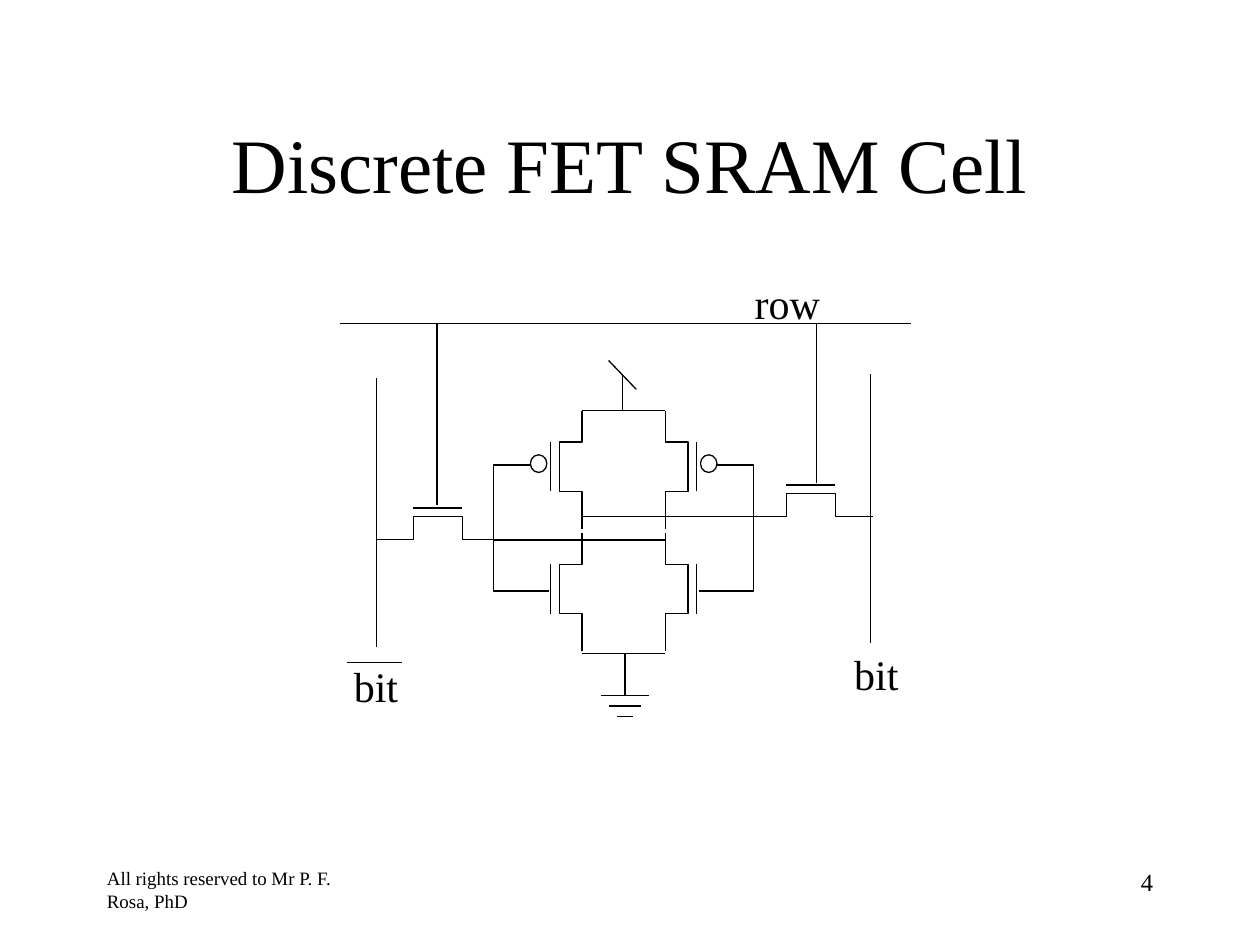
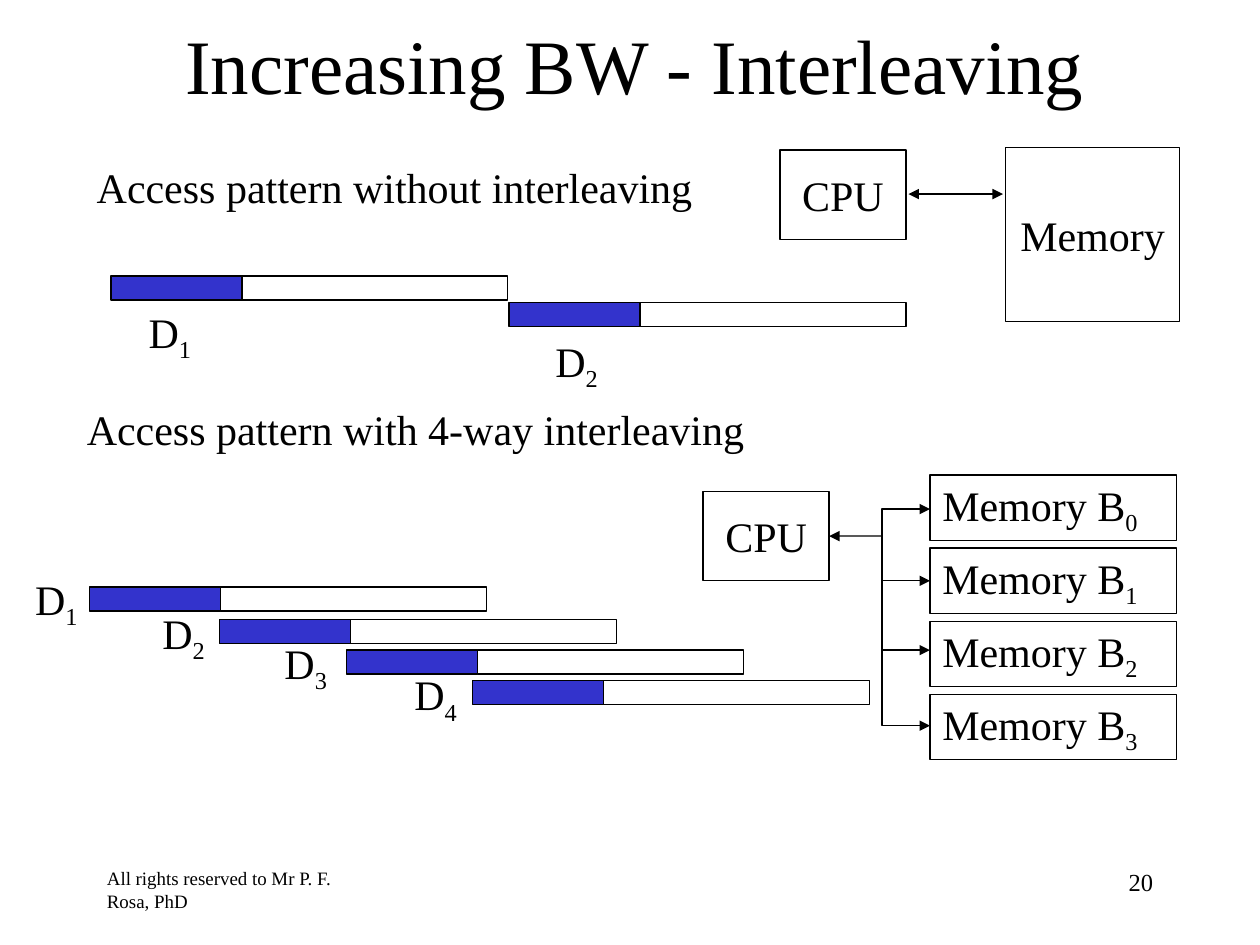
import pptx
import pptx.dml.color
import pptx.enum.shapes
import pptx.enum.text
import pptx.oxml.ns
import pptx.util
from lxml import etree

Pt = pptx.util.Pt
SHAPE = pptx.enum.shapes.MSO_SHAPE
ALIGN = pptx.enum.text.PP_ALIGN
ANCHOR = pptx.enum.text.MSO_ANCHOR
qn = pptx.oxml.ns.qn

FONT = "Times New Roman"
BLACK = "000000"
BLUE = "3333CC"
LINE_WIDTH = 0.75


def rgb(value):
    return pptx.dml.color.RGBColor.from_string(value)


def write(sp, text, sub="", size=24, align=ALIGN.LEFT, anchor=ANCHOR.TOP, wrap=False):
    tf = sp.text_frame
    tf.word_wrap = wrap
    tf.vertical_anchor = anchor
    tf.margin_left = tf.margin_right = Pt(7.2)
    tf.margin_top = tf.margin_bottom = Pt(3.6)
    p = tf.paragraphs[0]
    p.alignment = align
    for part in filter(None, (text, sub)):
        r = p.add_run()
        r.text = part
        r.font.name = FONT
        r.font.size = Pt(size)
        r.font.color.rgb = rgb(BLACK)
    if sub:
        r._r.get_or_add_rPr().set("baseline", "-25000")


def outline(sp, head=False, tail=False):
    sp.line.color.rgb = rgb(BLACK)
    sp.line.width = Pt(LINE_WIDTH)
    ln = sp.element.spPr.find(qn("a:ln"))
    for tag, wanted in (("a:headEnd", head), ("a:tailEnd", tail)):
        if wanted:
            etree.SubElement(ln, qn(tag), type="triangle")


def label(s, x, y, w, h, text, **fmt):
    sp = s.shapes.add_textbox(Pt(x), Pt(y), Pt(w), Pt(h))
    write(sp, text, **fmt)
    return sp


def box(s, x, y, w, h, fill=None, kind=SHAPE.RECTANGLE):
    sp = s.shapes.add_shape(kind, Pt(x), Pt(y), Pt(w), Pt(h))
    sp.shadow.inherit = False
    if fill:
        sp.fill.solid()
        sp.fill.fore_color.rgb = rgb(fill)
    else:
        sp.fill.background()
    outline(sp)
    return sp


def block(s, x, y, w, h, text, sub="", align=ALIGN.CENTER):
    sp = box(s, x, y, w, h)
    write(sp, text, sub=sub, align=align, anchor=ANCHOR.MIDDLE)
    return sp


def line(s, x1, y1, x2, y2, head=False, tail=False):
    straight = pptx.enum.shapes.MSO_CONNECTOR.STRAIGHT
    c = s.shapes.add_connector(straight, Pt(x1), Pt(y1), Pt(x2), Pt(y2))
    outline(c, head, tail)
    etree.SubElement(c.element.spPr, qn("a:effectLst"))
    return c


def wire(s, points, head=False, tail=False):
    pts = [(Pt(x), Pt(y)) for x, y in points]
    fb = s.shapes.build_freeform(*pts[0])
    fb.add_line_segments(pts[1:], close=False)
    sp = fb.convert_to_shape()
    sp.shadow.inherit = False
    sp.fill.background()
    outline(sp, head, tail)


def fet(s, x, y, along, out):
    def at(u, v):
        return x + u * along[0] + v * out[0], y + u * along[1] + v * out[1]

    channel = [(0, 0), (21.6, 0), (21.6, 13), (49.7, 13), (49.7, 0), (67.7, 0)]
    wire(s, [at(u, v) for u, v in channel])
    line(s, *at(21.6, 18), *at(49.7, 18))


def access_bar(s, x, y):
    box(s, x, y, 74.9, 13.7, BLUE)
    box(s, x + 74.9, y, 151.9, 13.7)


def new_slide(prs, title, number, x, y, h):
    s = prs.slides.add_slide(prs.slide_layouts[5])
    sp = s.shapes.title
    sp.left, sp.top, sp.width, sp.height = Pt(x), Pt(y), Pt(612), Pt(h)
    write(sp, title, size=44, align=ALIGN.CENTER, anchor=ANCHOR.MIDDLE, wrap=True)
    label(s, 54, 491.8, 149.8, 36, "All rights reserved to Mr P. F. Rosa, PhD",
          size=10.8, wrap=True)
    label(s, 516.2, 491.8, 149.8, 36, number, size=14, align=ALIGN.RIGHT, wrap=True)
    return s


def sram_slide(prs):
    s = new_slide(prs, "Discrete FET SRAM Cell", "4", 54, 48, 90)
    left, right, up = (-1, 0), (1, 0), (0, -1)
    for y in (302.4, 372.2):
        fet(s, 332.6, y, up, left)
        fet(s, 380.2, y, up, right)
    fet(s, 214.6, 308.3, right, up)
    fet(s, 499, 295.2, left, up)

    for x in (303.1, 400.3):
        box(s, x, 259.9, 9.4, 10.1, kind=SHAPE.OVAL)
    for bubble, bend, gate in ((303.1, 282.2, 313.9), (409.7, 430.6, 399.6)):
        wire(s, [(bubble, 265.7), (bend, 265.7), (bend, 337.7), (gate, 337.7)])

    supply_and_ground = [
        (332.6, 234.6, 379.8, 234.6),
        (355.7, 234.6, 355.7, 213.8),
        (347.8, 206, 363.6, 222.5),
        (332.6, 373.6, 380.2, 373.6),
        (357.1, 373.6, 357.1, 397.4),
    ]
    row_and_bit_lines = [
        (194.4, 185, 520.6, 185),
        (249.8, 288.7, 249.8, 185),
        (466.6, 275.8, 466.6, 185),
        (215.3, 216, 215.3, 370),
        (497.5, 213.8, 497.5, 367.2),
        (198.4, 378.7, 229.7, 378.7),
    ]
    cross_coupling = [(282.2, 308.5, 380.2, 308.5), (431.3, 295.2, 333.4, 295.2)]
    for ends in supply_and_ground + row_and_bit_lines + cross_coupling:
        line(s, *ends)
    for i in range(3):
        half, y = 13.7 - 4.5 * i, 397.4 + 6.1 * i
        line(s, 357.1 - half, y, 357.1 + half, y)

    label(s, 424.1, 154.8, 51.8, 36, "row")
    label(s, 195.1, 373.7, 39.6, 36, "bit")
    label(s, 481, 367.2, 39.6, 36, "bit")


def interleaving_slide(prs):
    s = new_slide(prs, "Increasing BW - Interleaving", "20", 56.9, 0, 73.4)
    label(s, 48.2, 88.6, 355, 36, "Access pattern without interleaving")
    label(s, 42.5, 226.8, 390.2, 36, "Access pattern with 4-way interleaving")

    accesses = [
        ("1", 77.8, 171.4, 63.4, 157.7),
        ("2", 310.3, 187.9, 290.9, 172.8),
        ("1", 13, 324, 51.1, 335.5),
        ("2", 85.7, 343.4, 125.3, 354.2),
        ("3", 155.5, 360.7, 198, 371.5),
        ("4", 229.7, 378.7, 270, 388.8),
    ]
    for sub, label_x, label_y, bar_x, bar_y in accesses:
        access_bar(s, bar_x, bar_y)
        label(s, label_x, label_y, 38.9, 40.3, "D", sub=sub)

    block(s, 445.7, 85.7, 72, 51.1, "CPU")
    block(s, 574.6, 84.2, 99.4, 99.4, "Memory")
    line(s, 519.1, 110.9, 573.1, 110.9, head=True, tail=True)

    cpu = block(s, 401.8, 280.8, 72, 51.1, "CPU")
    banks = [block(s, 531.4, 271.4 + 41.8 * i, 141.1, 37.4, "Memory B", str(i), ALIGN.LEFT)
             for i in range(4)]
    bus_x = 504
    wire(s, [(531.4, 290.9), (bus_x, 290.9), (bus_x, 414.7), (531.4, 414.7)],
         head=True, tail=True)
    line(s, bus_x, 306.3, 473.8, 306.3, tail=True).end_connect(cpu, 3)
    line(s, bus_x, 331.9, 531.4, 331.9, tail=True).end_connect(banks[1], 1)
    line(s, bus_x, 371.5, 531.4, 371.5, tail=True)


def main():
    prs = pptx.Presentation()
    prs.slide_width, prs.slide_height = Pt(720), Pt(540)
    sram_slide(prs)
    interleaving_slide(prs)
    prs.save("out.pptx")


if __name__ == "__main__":
    main()
